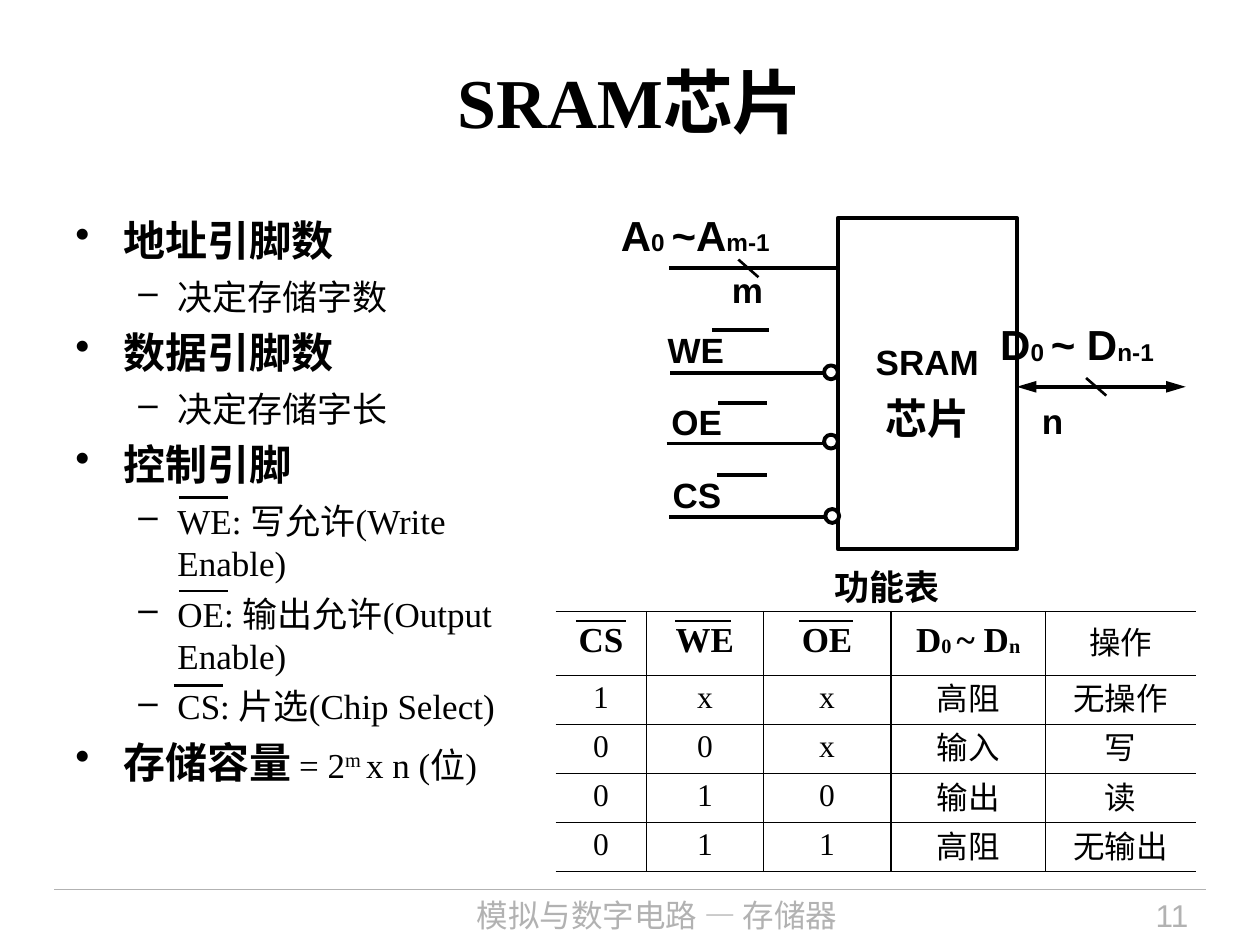
from dataclasses import dataclass

from lxml import etree
from pptx import Presentation
from pptx import util as u
from pptx.dml.color import RGBColor
from pptx.enum import shapes, text
from pptx.oxml import ns

PX = 9144  # one px is a hundredth of an inch
BLACK = RGBColor(0x00, 0x00, 0x00)
WHITE = RGBColor(0xFF, 0xFF, 0xFF)
GREY = RGBColor(0xB2, 0xB2, 0xB2)
SERIF, SANS, HAN = "Times New Roman", "Arial", "Noto Sans CJK SC"
LEFT, CENTER, RIGHT = text.PP_ALIGN.LEFT, text.PP_ALIGN.CENTER, text.PP_ALIGN.RIGHT
THIN, THICK = 0.45, 1.08
SUBSCRIPT, SUPERSCRIPT = -2000, 30000


@dataclass
class Span:
    words: str
    size: int = 20
    bold: bool = True
    font: str = SANS
    color: RGBColor = BLACK
    baseline: int = 0


@dataclass
class Label:
    left: int
    top: int
    width: int
    height: int
    spans: list
    align: int = LEFT


@dataclass
class Wire:
    x1: int
    y1: int
    x2: int
    y2: int
    weight: float = 2.25
    color: RGBColor = BLACK
    arrows: bool = False


def px(*values: int) -> list:
    return [u.Emu(value * PX) for value in values]


def child(parent, tag: str, **attributes):
    return etree.SubElement(parent, ns.qn(tag), **attributes)


def write(para, spans: list, align: int = LEFT, **spacing) -> None:
    for name, value in {"alignment": align, **spacing}.items():
        setattr(para, name, value)
    for item in spans:
        span = para.add_run()
        span.text = item.words
        formats = {"name": item.font, "size": u.Pt(item.size), "bold": item.bold}
        for name, value in formats.items():
            setattr(span.font, name, value)
        span.font.color.rgb = item.color
        properties = span.font._element
        child(properties, "a:ea", typeface=HAN)
        if item.baseline:
            properties.set("baseline", str(item.baseline))


def add_label(page, label: Label):
    box = page.shapes.add_textbox(*px(label.left, label.top, label.width, label.height))
    box.text_frame.word_wrap = True
    write(box.text_frame.paragraphs[0], label.spans, label.align)
    return box


def add_wire(page, wire: Wire) -> None:
    line = page.shapes.add_connector(
        shapes.MSO_CONNECTOR.STRAIGHT, *px(wire.x1, wire.y1, wire.x2, wire.y2))
    line.line.width = u.Pt(wire.weight)
    line.line.color.rgb = wire.color
    if wire.arrows:
        for end in ("a:headEnd", "a:tailEnd"):
            child(line.line._get_or_add_ln(), end, type="triangle", len="lg")
    child(line._element.spPr, "a:effectLst")


def add_outline(page, kind: int, *place: int):
    shape = page.shapes.add_shape(kind, *px(*place))
    shape.shadow.inherit = False
    shape.line.color.rgb = BLACK
    shape.line.width = u.Pt(2.25)
    return shape


def add_bullets(page) -> None:
    def head(words):
        return 0, [Span(words, 24, True, SERIF)]

    def detail(words):
        return 1, [Span(words, 20, False, SERIF)]

    capacity = head("存储容量")
    capacity[1].extend([Span(" = 2", 20, False, SERIF),
                        Span("m ", 20, False, SERIF, baseline=SUPERSCRIPT),
                        Span("x n (位)", 20, False, SERIF)])
    points = [head("地址引脚数"), detail("决定存储字数"),
              head("数据引脚数"), detail("决定存储字长"),
              head("控制引脚"), detail("WE: 写允许(Write Enable)"),
              detail("OE: 输出允许(Output Enable)"),
              detail("CS: 片选(Chip Select)"), capacity]
    # margin, hanging indent, bullet, line height and space after, by level
    levels = [(38, 38, "•", 29, 6), (81, 31, "–", 24, 5)]
    frame = add_label(page, Label(50, 165, 386, 532, [])).text_frame
    for index, (level, spans) in enumerate(points):
        margin, hang, mark, height, after = levels[level]
        para = frame.add_paragraph() if index else frame.paragraphs[0]
        properties = para._p.get_or_add_pPr()
        properties.set("marL", str(margin * PX))
        properties.set("indent", str(-hang * PX))
        child(properties, "a:buChar", char=mark)
        write(para, spans, level=level, line_spacing=u.Pt(height), space_after=u.Pt(after))


def add_function_table(page) -> None:
    def heading(words, baseline=0):
        return Span(words, 20, True, SERIF, baseline=baseline)

    widths, heights = [72, 93, 101, 123, 119], [51, 39, 39, 39, 39]
    data_pins = [heading("D"), heading("0 ", SUBSCRIPT), heading("~ D"), heading("n", SUBSCRIPT)]
    header = [[heading("CS")], [heading("WE")], [heading("OE")], data_pins,
              [Span("操作", 18, False, SERIF)]]
    states = ["1 x x 高阻 无操作", "0 0 x 输入 写", "0 1 0 输出 读", "0 1 1 高阻 无输出"]
    rows = [header] + [[[Span(word, 18, False, SERIF)] for word in state.split()]
                       for state in states]
    across = [THIN, THICK, THIN, THIN, THIN, THIN]
    down = [0, THIN, THIN, THICK, THIN, 0]

    grid = page.shapes.add_table(5, 5, *px(441, 485, sum(widths), sum(heights))).table
    grid.first_row = grid.horz_banding = False
    for column, width in zip(grid.columns, px(*widths)):
        column.width = width
    for r, (row, height) in enumerate(zip(grid.rows, px(*heights))):
        row.height = height
        for c, cell in enumerate(row.cells):
            cell.vertical_anchor = text.MSO_ANCHOR.MIDDLE
            write(cell.text_frame.paragraphs[0], rows[r][c], CENTER,
                  line_spacing=0.8, space_after=u.Pt(5 if r == 0 else 4.5))
            borders = {"L": down[c], "R": down[c + 1], "T": across[r], "B": across[r + 1]}
            properties = cell._tc.get_or_add_tcPr()
            for side, weight in borders.items():
                edge = child(properties, f"a:ln{side}", w=str(u.Pt(weight)))
                if weight:
                    child(child(edge, "a:solidFill"), "a:srgbClr", val=str(BLACK))
                else:
                    child(edge, "a:noFill")
            cell.fill.background()


def add_chip(page) -> None:
    box = add_label(page, Label(673, 265, 126, 92, [Span("SRAM")], CENTER))
    write(box.text_frame.add_paragraph(), [Span("芯片", 24)], CENTER, space_before=u.Pt(6))
    add_outline(page, shapes.MSO_SHAPE.RECTANGLE, 665, 173, 142, 263).fill.background()

    wires = [Wire(531, 213, 665, 213), Wire(807, 307, 941, 307, arrows=True),
             Wire(586, 206, 602, 220, 1.5), Wire(862, 300, 878, 314, 1.5),
             # control inputs
             Wire(532, 296, 665, 296), Wire(529, 352, 663, 352), Wire(531, 410, 665, 410),
             # bars of the active-low names
             Wire(565, 262, 610, 262), Wire(570, 320, 609, 320), Wire(569, 377, 609, 377)]
    for wire in wires:
        add_wire(page, wire)
    for left, top in [(654, 290), (654, 345), (655, 404)]:
        bubble = add_outline(page, shapes.MSO_SHAPE.OVAL, left, top, 11, 11)
        bubble.fill.solid()
        bubble.fill.fore_color.rgb = WHITE

    def bus(first, second, last):
        return [Span(first, 24), Span("0 ", 24, baseline=SUBSCRIPT),
                Span(second, 24), Span(last, 24, baseline=SUBSCRIPT)]

    for label in [Label(483, 161, 213, 50, bus("A", "~A", "m-1")),
                  Label(784, 248, 216, 50, bus("D", "~ D", "n-1")),
                  Label(571, 208, 50, 44, [Span("m")]),
                  Label(817, 312, 112, 44, [Span("n")]),
                  Label(520, 256, 140, 44, [Span("WE")]),
                  Label(523, 313, 135, 44, [Span("OE")]),
                  Label(524, 371, 133, 44, [Span("CS")]),
                  Label(644, 444, 120, 44, [Span("功能表")], CENTER)]:
        add_label(page, label)


def main() -> None:
    deck = Presentation()
    deck.slide_width, deck.slide_height = px(1000, 750)
    page = deck.slides.add_slide(deck.slide_layouts[5])

    # Title
    title = page.shapes.title
    title.left, title.top, title.width, title.height = px(50, 37, 900, 85)
    title.text_frame.vertical_anchor = text.MSO_ANCHOR.MIDDLE
    write(title.text_frame.paragraphs[0], [Span("SRAM芯片", 40, True, SERIF)], CENTER)

    # Footer
    add_wire(page, Wire(43, 706, 957, 706, 0.75, GREY))
    add_label(page, Label(240, 706, 563, 44,
                          [Span("模拟与数字电路 — 存储器", 18, False, HAN, GREY)], CENTER))
    add_label(page, Label(820, 706, 133, 44, [Span("11", 18, False, SANS, GREY)], RIGHT))

    add_bullets(page)
    add_function_table(page)
    add_chip(page)

    # Bars over the active-low names in the list and the table header
    for x1, x2, y in [(142, 181, 395), (142, 181, 469), (138, 177, 544),
                      (457, 497, 493), (536, 580, 493), (634, 677, 493)]:
        add_wire(page, Wire(x1, y, x2, y, 1.5))
    deck.save("out.pptx")


if __name__ == "__main__":
    main()
